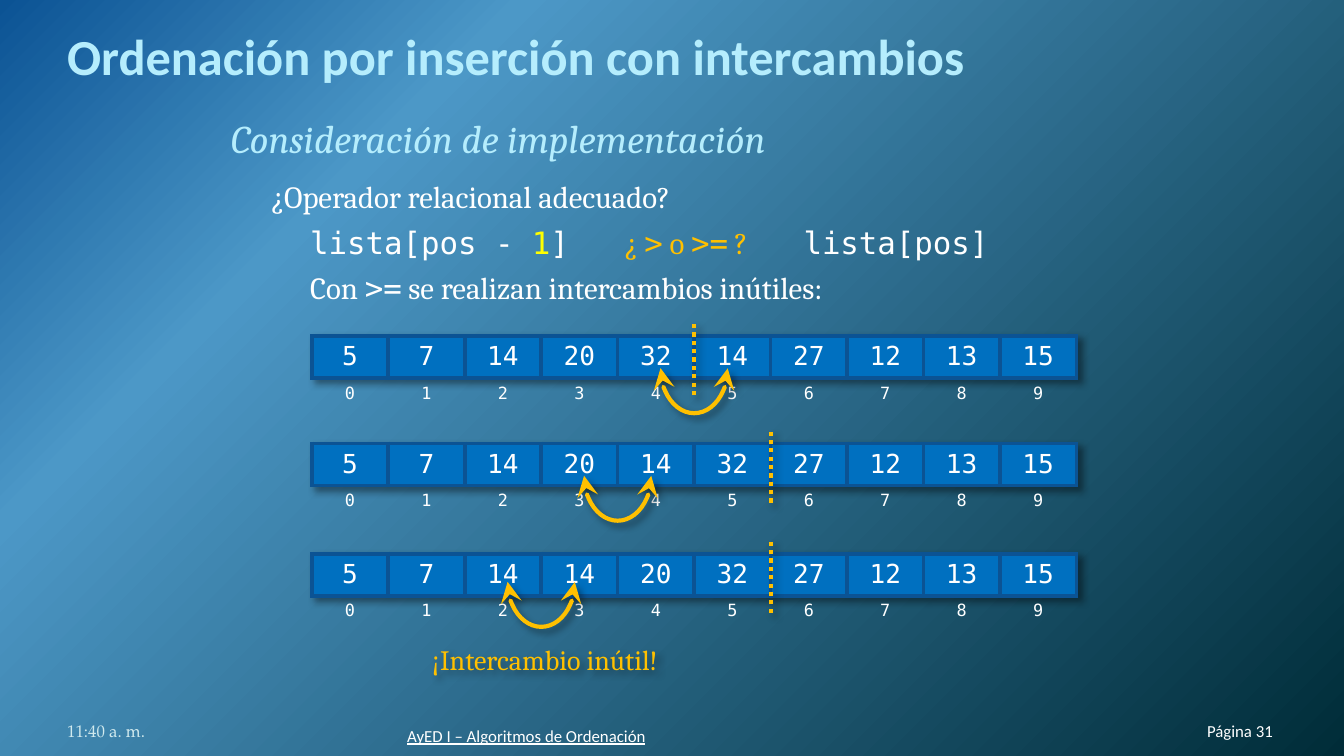
import dataclasses

import pptx
import pptx.dml.color
import pptx.enum.dml
import pptx.enum.shapes
import pptx.enum.text
import pptx.oxml
import pptx.oxml.ns
import pptx.util

Inches, Pt = pptx.util.Inches, pptx.util.Pt
RGB = pptx.dml.color.RGBColor.from_string
ALIGN, ANCHOR = pptx.enum.text.PP_ALIGN, pptx.enum.text.MSO_ANCHOR
SHAPE, qn = pptx.enum.shapes.MSO_SHAPE, pptx.oxml.ns.qn
A = pptx.oxml.ns.nsdecls("a")


@dataclasses.dataclass(frozen=True)
class Theme:
    white: str = "FFFFFF"
    pale: str = "B5EDFD"
    date: str = "D1EAEE"
    gold: str = "FFC000"
    yellow: str = "FFFF00"
    cell: str = "0070C0"
    border: str = "0B5394"
    stops: tuple = ((0, "0B5394"), (25, "4C98C7"), (100, "002C38"))
    title: float = 27
    subtitle: float = 21
    body: float = 16.5
    note: float = 15
    value: float = 14
    small: float = 9
    line: float = 2.25
    sans: str = "Calibri"
    serif: str = "Cambria"
    mono: str = "DejaVu Sans Mono"
    old: str = "TeX Gyre Pagella"


T = Theme()


def add_run(p, text, size=T.body, font=T.serif, color=T.white, spacing=0, outline=None,
            **style):
    """Add a run; spacing is extra points after each letter, outline a line colour."""
    r = p.add_run()
    r.text = text
    r.font.size = Pt(size)
    r.font.name = font
    r.font.color.rgb = RGB(color)
    for name, value in style.items():
        setattr(r.font, name, value)
    rPr = r._r.get_or_add_rPr()
    if spacing:
        rPr.set("spc", str(spacing * 100))
    if outline:
        rPr.insert(0, pptx.oxml.parse_xml(
            f'<a:ln {A} w="{Pt(0.75)}"><a:solidFill><a:srgbClr val="{outline}"/>'
            '</a:solidFill></a:ln>'))


def make_shadow():
    return pptx.oxml.parse_xml(
        f'<a:effectLst {A}><a:outerShdw blurRad="{Pt(4)}" dist="{Pt(3)}" dir="2700000" '
        'algn="tl" rotWithShape="0"><a:srgbClr val="000000"><a:alpha val="40000"/>'
        '</a:srgbClr></a:outerShdw></a:effectLst>')


prs = pptx.Presentation()
prs.slide_width = Inches(10)
prs.slide_height = prs.slide_width * 9 // 16
s = prs.slides.add_slide(prs.slide_layouts[6])

# Background
s.background.fill.gradient()
grad = s.element.find(".//" + qn("a:gradFill"))
stops = "".join(f'<a:gs pos="{pos * 1000}"><a:srgbClr val="{color}"/></a:gs>'
                for pos, color in T.stops)
grad.getparent().replace(grad, pptx.oxml.parse_xml(
    f'<a:gradFill {A} rotWithShape="1"><a:gsLst>{stops}</a:gsLst><a:path path="circle">'
    '<a:fillToRect r="100000" b="100000"/></a:path></a:gradFill>'))

# Title and footer
bars = [
    ((0.5, 0.23, 9, 0.41), 0.05, ALIGN.LEFT, "Ordenación por inserción con intercambios",
     dict(size=T.title, font=T.sans, color=T.pale, bold=True, outline=T.cell)),
    ((8.49, 5.21, 0.98, 0.3), 0, ALIGN.RIGHT, "Página 31", dict(size=T.small, font=T.sans)),
    ((0.5, 5.21, 2.33, 0.3), 0, ALIGN.LEFT, "11:40 a. m.",
     dict(size=T.small, font=T.old, color=T.date)),
    ((3.03, 5.25, 3.78, 0.3), 0, ALIGN.LEFT, "AyED I – Algoritmos de Ordenación",
     dict(size=T.small, font=T.sans, underline=True)),
]
for box, inset_top, align, text, style in bars:
    tf = s.shapes.add_textbox(*map(Inches, box)).text_frame
    tf.word_wrap = True
    tf.vertical_anchor = ANCHOR.BOTTOM
    tf.margin_left = tf.margin_right = tf.margin_bottom = 0
    tf.margin_top = Inches(inset_top)
    p = tf.paragraphs[0]
    p.alignment = align
    add_run(p, text, **style)

# Body: indent, space after, runs
code = dict(font=T.mono)
gold = dict(color=T.gold)
gold_code = dict(font=T.mono, color=T.gold)
gap = (" ", dict(font=T.mono, spacing=20))
body = [
    (0, 9, [("Consideración de implementación",
             dict(size=T.subtitle, color=T.pale, italic=True))]),
    (0.3, 4.5, [("¿Operador relacional adecuado?", {})]),
    (0.59, 4.5, [("lista[pos - ", code), ("1", dict(font=T.mono, color=T.yellow)),
                 ("]", code), gap, ("¿ ", gold), (">", gold_code), (" o ", gold),
                 (">=", gold_code), (" ?", gold), gap, ("lista[pos]", code)]),
    (0.59, 4.5, [("Con ", {}), (">=", code), (" se realizan intercambios inútiles:", {})]),
]
tf = s.shapes.add_textbox(Inches(1.62), Inches(0.8), Inches(6.86), Inches(4.19)).text_frame
tf.word_wrap = True
for i, (indent, after, runs) in enumerate(body):
    p = tf.add_paragraph() if i else tf.paragraphs[0]
    p.level = min(i, 1)
    p.space_after = Pt(after)
    pPr = p._p.get_or_add_pPr()
    pPr.set("marL", str(Inches(indent)))
    pPr.set("indent", "0")
    for text, style in runs:
        add_run(p, text, **style)

# Sorting steps: table top, values, divider column, swap column, arc top
LEFT, COL, ROWS = 2.32, 0.569, (0.3, 0.24)
steps = [
    (2.5, (5, 7, 14, 20, 32, 14, 27, 12, 13, 15), 5, 5, 2.49),
    (3.3, (5, 7, 14, 20, 14, 32, 27, 12, 13, 15), 6, 4, 3.29),
    (4.12, (5, 7, 14, 14, 20, 32, 27, 12, 13, 15), 6, 3, 4.08),
]
for top, values, divider, swap, arc_top in steps:
    n = len(values)
    frame = s.shapes.add_table(2, n, Inches(LEFT), Inches(top),
                               Inches(COL * n), Inches(sum(ROWS)))
    table = frame.table
    table.first_row = table.horz_banding = False
    tblPr = table._tbl.tblPr
    tblPr.find(qn("a:tableStyleId")).text = "{2D5ABB26-0587-4C30-8999-92F81FD0307C}"
    tblPr.insert(0, make_shadow())
    for row, height in zip(table.rows, ROWS):
        row.height = Inches(height)
    for column in table.columns:
        column.width = Inches(COL)
    for i, (row, size, sides) in enumerate([(values, T.value, "LRTB"),
                                            (range(n), T.small, "T")]):
        for j, number in enumerate(row):
            cell = table.cell(i, j)
            cell.margin_left = cell.margin_right = Inches(0.07)
            cell.margin_top = cell.margin_bottom = Inches(0.04)
            p = cell.text_frame.paragraphs[0]
            p.alignment = ALIGN.CENTER
            add_run(p, str(number), size=size, font=T.mono)
            tcPr = cell._tc.get_or_add_tcPr()
            for side in sides:
                tcPr.append(pptx.oxml.parse_xml(
                    f'<a:ln{side} {A} w="{Pt(T.line)}"><a:solidFill>'
                    f'<a:srgbClr val="{T.border}"/></a:solidFill></a:ln{side}>'))
            if i == 0:
                cell.fill.solid()
                cell.fill.fore_color.rgb = RGB(T.cell)
            else:
                cell.fill.background()

    x = Inches(LEFT + COL * divider)
    line = s.shapes.add_connector(pptx.enum.shapes.MSO_CONNECTOR.STRAIGHT,
                                  x, Inches(top + 0.44), x, Inches(top - 0.1))
    line.line.dash_style = pptx.enum.dml.MSO_LINE.ROUND_DOT

    arc = s.shapes.add_shape(SHAPE.ARC, Inches(LEFT + COL * swap - 0.335), Inches(arc_top),
                             Inches(0.67), Inches(0.5))
    arc.rotation = 270
    arc.element.spPr.find(qn("a:xfrm")).set("flipH", "1")
    arc.adjustments[0], arc.adjustments[1] = 162, 53.78
    arc.fill.background()

    for sp in (line, arc):
        sp.line.color.rgb = RGB(T.gold)
        sp.line.width = Pt(T.line)
        sp.element.spPr.append(make_shadow())
    for end in ("headEnd", "tailEnd"):
        arc.line._get_or_add_ln().append(
            pptx.oxml.parse_xml(f'<a:{end} {A} type="stealth" w="lg" len="lg"/>'))

# Closing remark
sp = s.shapes.add_textbox(Inches(3.08), Inches(4.73), Inches(1.95), Inches(0.35))
sp.element.spPr.append(make_shadow())
tf = sp.text_frame
tf.word_wrap = False
tf.auto_size = pptx.enum.text.MSO_AUTO_SIZE.SHAPE_TO_FIT_TEXT
p = tf.paragraphs[0]
p.alignment = ALIGN.CENTER
p.space_after = Pt(4.5)
add_run(p, "¡Intercambio inútil!", size=T.note, color=T.gold)

prs.save("out.pptx")
